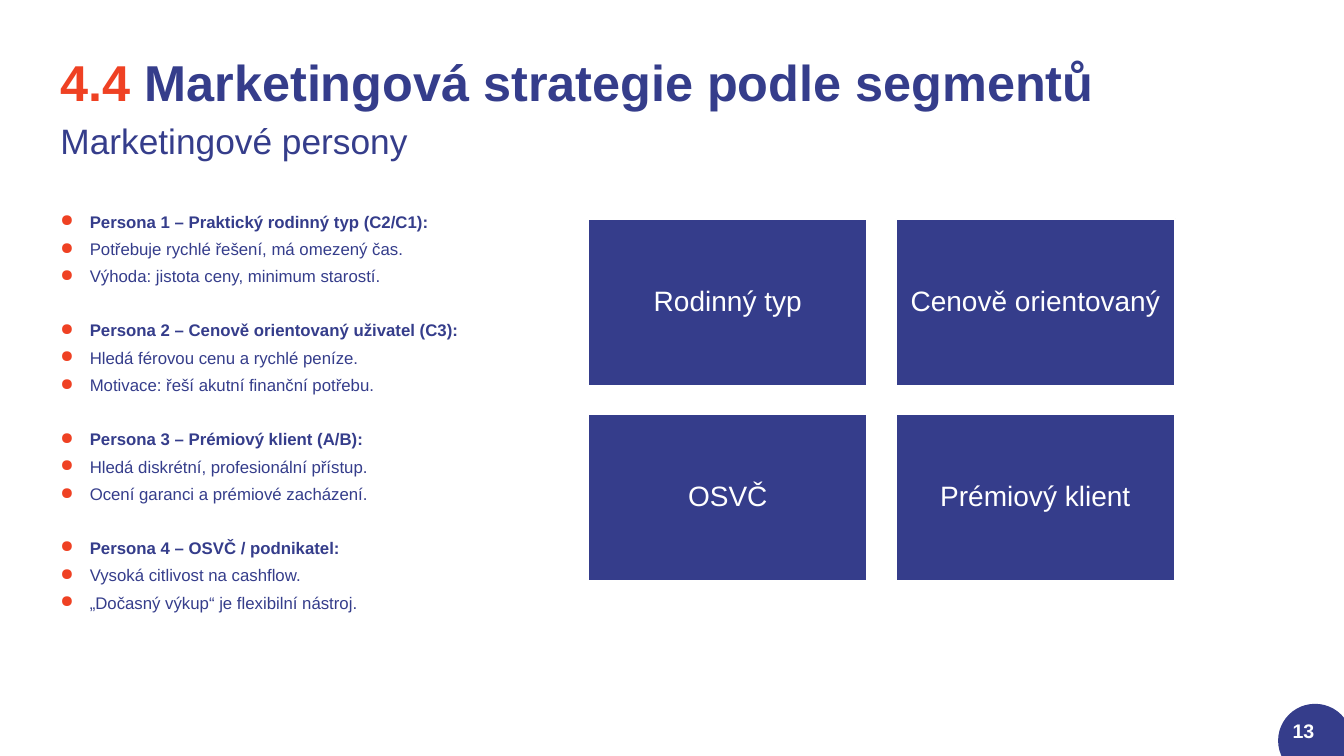
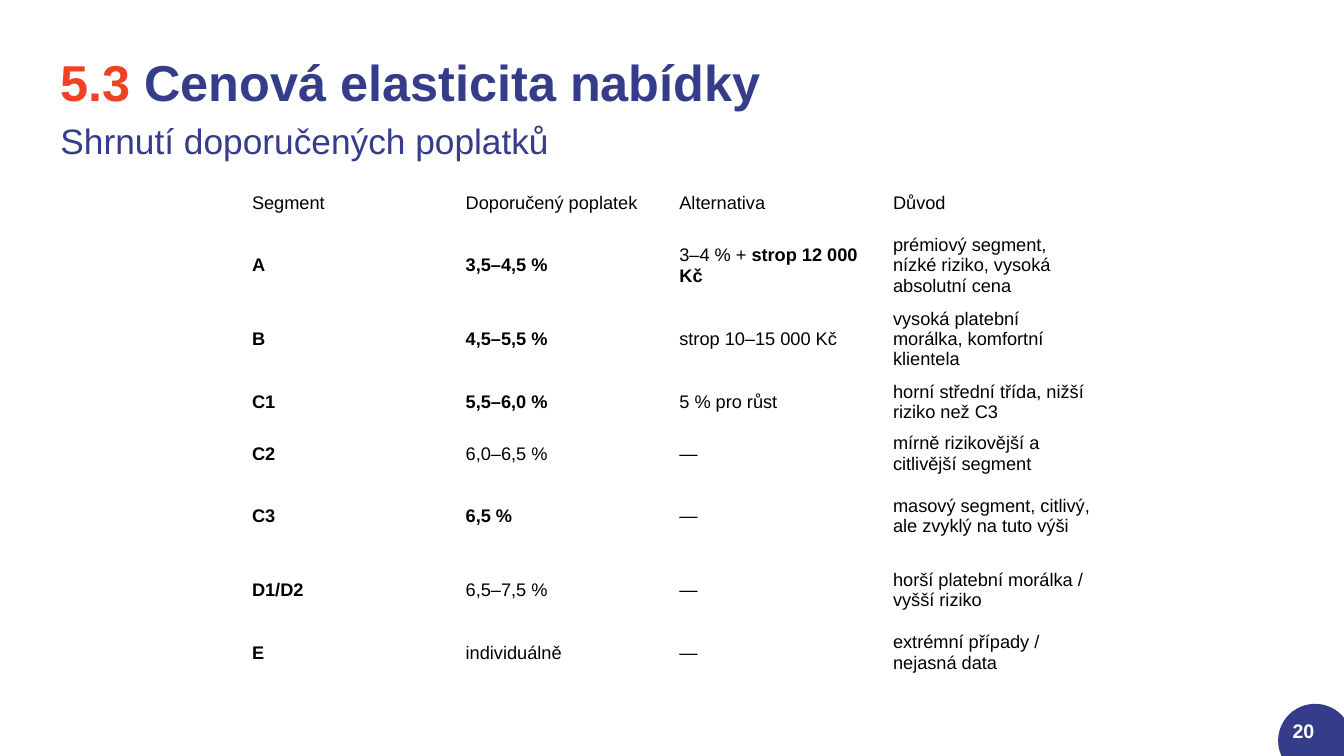
from lxml import etree
from pptx import Presentation
from pptx.dml.color import RGBColor
from pptx.enum.shapes import MSO_SHAPE
from pptx.enum.text import MSO_ANCHOR, PP_ALIGN
from pptx.oxml.ns import qn
from pptx.util import Inches, Pt

RECT, OVAL = MSO_SHAPE.RECTANGLE, MSO_SHAPE.OVAL
TOP, MID = MSO_ANCHOR.TOP, MSO_ANCHOR.MIDDLE
LEFT, MIDST, RIGHT = PP_ALIGN.LEFT, PP_ALIGN.CENTER, PP_ALIGN.RIGHT
HUES = {"navy": "353D8B", "red": "EF4123", "white": "FFFFFF", "black": "000000"}
FONT = "Arial"

TRAITS = [
    ("Persona 1 – Praktický rodinný typ (C2/C1):",
     "Potřebuje rychlé řešení, má omezený čas.",
     "Výhoda: jistota ceny, minimum starostí."),
    ("Persona 2 – Cenově orientovaný uživatel (C3):",
     "Hledá férovou cenu a rychlé peníze.",
     "Motivace: řeší akutní finanční potřebu."),
    ("Persona 3 – Prémiový klient (A/B):",
     "Hledá diskrétní, profesionální přístup.",
     "Ocení garanci a prémiové zacházení."),
    ("Persona 4 – OSVČ / podnikatel:",
     "Vysoká citlivost na cashflow.",
     "„Dočasný výkup“ je flexibilní nástroj."),
]
TYPES = ["Rodinný typ", "Cenově orientovaný", "OSVČ", "Prémiový klient"]
FEES = [
    ["Segment", "Doporučený poplatek", "Alternativa", "Důvod"],
    ["*A", "*3,5–4,5 %", "3–4 % + *strop 12 000 Kč",
     "prémiový segment, nízké riziko, vysoká absolutní cena"],
    ["*B", "*4,5–5,5 %", "strop 10–15 000 Kč",
     "vysoká platební morálka, komfortní klientela"],
    ["*C1", "*5,5–6,0 %", "5 % pro růst", "horní střední třída, nižší riziko než C3"],
    ["*C2", "6,0–6,5 %", "—", "mírně rizikovější a citlivější segment"],
    ["*C3", "*6,5 %", "—", "masový segment, citlivý, ale zvyklý na tuto výši"],
    ["*D1/D2", "6,5–7,5 %", "—", "horší platební morálka / vyšší riziko"],
    ["*E", "individuálně", "—", "extrémní případy / nejasná data"],
]
LOW, HIGH = 6.8, 9.73
ROWS = [LOW, HIGH, HIGH, LOW, LOW, HIGH, HIGH, LOW]


class Deck:
    """Slides in one style, measured on a grid of 100 columns by 100 rows."""

    def __init__(self):
        self.prs = Presentation()
        self.prs.slide_width, self.prs.slide_height = Inches(13.33), Inches(7.5)
        self.page = None

    def col(self, share):
        return round(self.prs.slide_width * share / 100)

    def row(self, share):
        return round(self.prs.slide_height * share / 100)

    def area(self, x, y, w, h):
        return self.col(x), self.row(y), self.col(w), self.row(h)

    def hue(self, name):
        return RGBColor.from_string(HUES[name])

    def run(self, para, text, size, hue, bold=False):
        run = para.add_run()
        run.text = text
        font = run.font
        font.name, font.size, font.bold = FONT, Pt(size), bold
        font.color.rgb = self.hue(hue)

    def frame(self, shape, anchor=TOP, inset=0):
        frame = shape.text_frame
        frame.word_wrap, frame.vertical_anchor = True, anchor
        frame.margin_left = frame.margin_right = Inches(inset)
        frame.margin_top = frame.margin_bottom = Inches(inset)
        return frame

    def text(self, area, anchor=TOP):
        return self.frame(self.page.shapes.add_textbox(*self.area(*area)), anchor)

    def shape(self, kind, area, edge=None):
        shape = self.page.shapes.add_shape(kind, *self.area(*area))
        shape.shadow.inherit = False
        shape.fill.solid()
        shape.fill.fore_color.rgb = self.hue("navy")
        if edge:
            shape.line.color.rgb = self.hue(edge)
            shape.line.width = Pt(1.5)
        else:
            shape.line.fill.background()
        return shape

    def slide(self, mark, title, sub, number):
        self.page = self.prs.slides.add_slide(self.prs.slide_layouts[6])
        self.shape(OVAL, (95.1, 93.1, 5.5, 9.73))
        para = self.text((4.5, 5.33, 85.2, 19.3)).paragraphs[0]
        para.line_spacing = 1.18
        self.run(para, mark + " ", 36, "red", True)
        self.run(para, title, 36, "navy", True)
        para.add_line_break()
        self.run(para, sub, 25.2, "navy")
        para = self.text((75.3, 94, 22.5, 5.33), MID).paragraphs[0]
        para.alignment = RIGHT
        self.run(para, str(number), 14, "white", True)

    def bullet(self, para):
        props = para._p.get_or_add_pPr()
        props.set("marL", str(Inches(0.29)))
        props.set("indent", str(-Inches(0.29)))
        tint = etree.SubElement(props, qn("a:buClr"))
        etree.SubElement(tint, qn("a:srgbClr"), val=HUES["red"])
        etree.SubElement(props, qn("a:buChar"), char="●")

    def list(self, area, groups):
        frame = self.text(area)
        for i, group in enumerate(groups):
            for j, line in enumerate(group):
                first = i == j == 0
                para = frame.paragraphs[0] if first else frame.add_paragraph()
                self.bullet(para)
                para.line_spacing, para.space_after = 0.9, Pt(6.6)
                if i and not j:
                    para.space_before = Pt(19)
                self.run(para, line, 12, "navy", j == 0)

    def tiles(self, x, y, names):
        for i, name in enumerate(names):
            down, over = divmod(i, 2)
            area = x + over * 22.88, y + down * 25.87, 20.8, 22.13
            tile = self.shape(RECT, area, "white")
            para = self.frame(tile, MID, 0.08).paragraphs[0]
            para.alignment, para.line_spacing = MIDST, 0.9
            self.run(para, name, 20, "white")

    def table(self, x, y, width, heights, cells):
        count = len(cells[0])
        area = self.area(x, y, width * count, sum(heights))
        table = self.page.shapes.add_table(len(cells), count, *area).table
        table.first_row = table.horz_banding = False
        for column in table.columns:
            column.width = self.col(width)
        for i, line in enumerate(cells):
            table.rows[i].height = self.row(heights[i])
            for j, words in enumerate(line):
                self.cell(table.cell(i, j), words)

    def cell(self, cell, words):
        cell.fill.background()
        cell.vertical_anchor = MID
        cell.margin_left, cell.margin_right = Inches(0.07), Inches(0.08)
        cell.margin_top = cell.margin_bottom = Inches(0.04)
        para = cell.text_frame.paragraphs[0]
        para.alignment = LEFT
        plain, _, strong = words.partition("*")
        for part, bold in ((plain, False), (strong, True)):
            if part:
                self.run(para, part, 13, "black", bold)


def main():
    deck = Deck()
    deck.slide("4.4", "Marketingová strategie podle segmentů", "Marketingové persony", 13)
    deck.list((4.5, 28.27, 37.5, 61), TRAITS)
    deck.tiles(43.75, 28.93, TYPES)
    deck.slide("5.3", "Cenová elasticita nabídky", "Shrnutí doporučených poplatků", 20)
    deck.table(18.23, 23.47, 15.9, ROWS, FEES)
    deck.prs.save("out.pptx")


if __name__ == "__main__":
    main()
